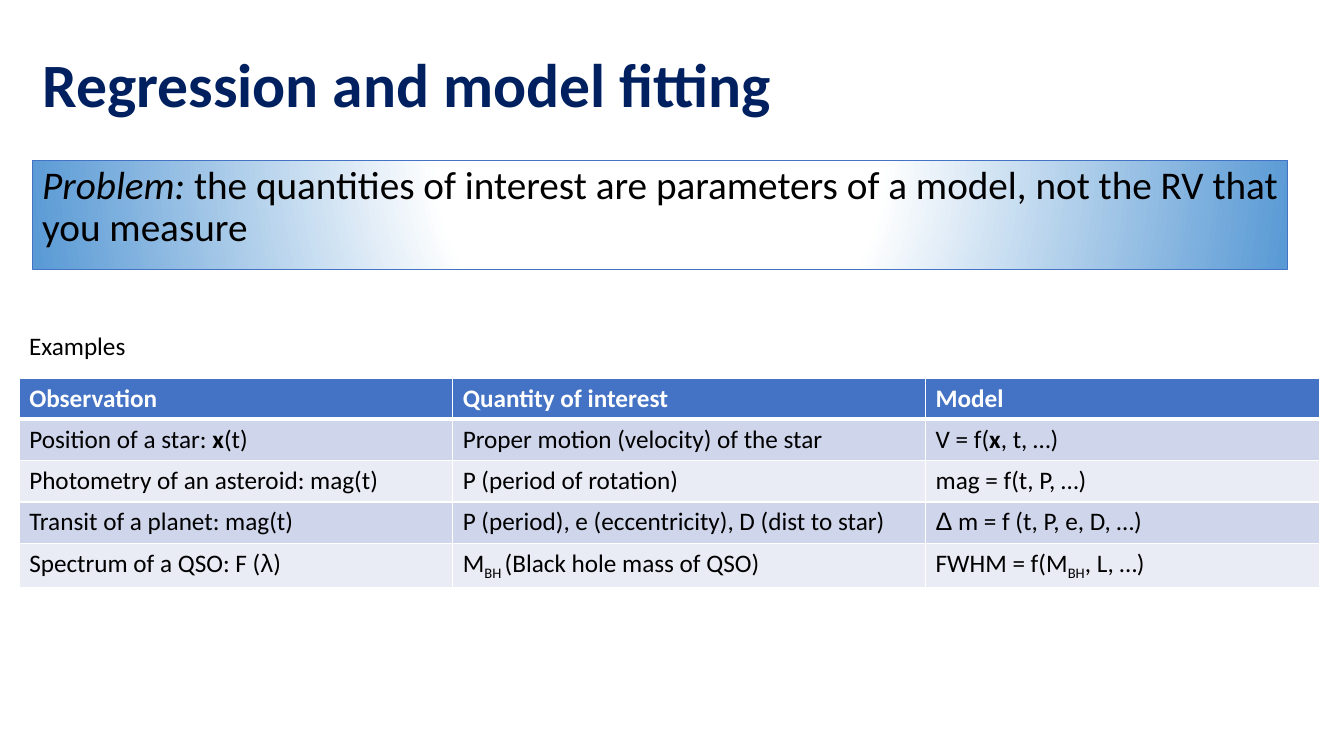
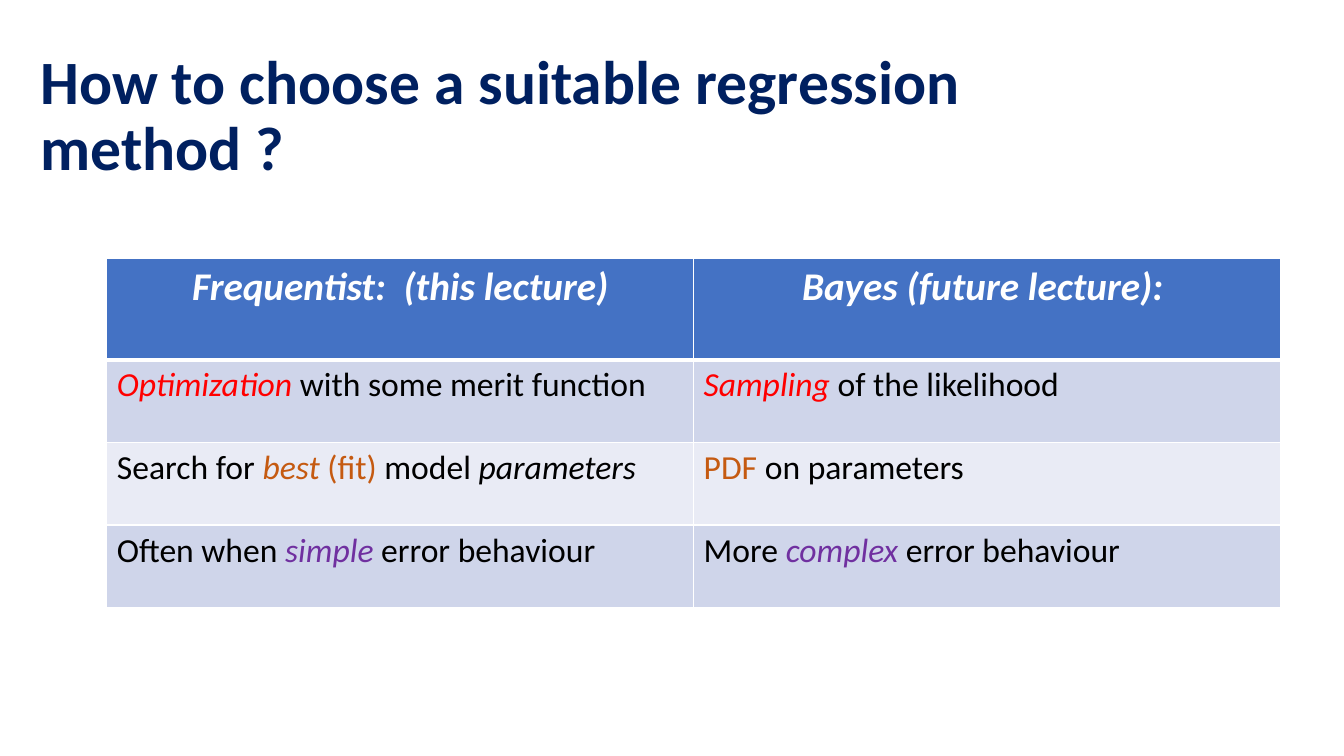
from lxml import etree
from pptx import Presentation
from pptx.dml.color import RGBColor
from pptx.enum import shapes, text
from pptx.oxml import parse_xml
from pptx.oxml.ns import qn, nsdecls
from pptx.util import Inches, Pt

# Shared style
FONT = "Calibri"
NAVY = RGBColor(0x00, 0x20, 0x60)
BLUE = RGBColor(0x44, 0x72, 0xC4)
SKY = RGBColor(0x5B, 0x9B, 0xD5)
BAND_DARK = RGBColor(0xCF, 0xD5, 0xEA)
BAND_LIGHT = RGBColor(0xE9, 0xEB, 0xF5)
WHITE = RGBColor(0xFF, 0xFF, 0xFF)
BLACK = RGBColor(0, 0, 0)
RED = {"color": RGBColor(0xFF, 0, 0), "italic": True}
ORANGE = {"color": RGBColor(0xC5, 0x5A, 0x11)}
PURPLE = {"color": RGBColor(0x70, 0x30, 0xA0), "italic": True}
BOLD = {"bold": True}
ITALIC = {"italic": True}
GREEK = {"name": "Arial"}
SUB = {"baseline": "-25000"}

TITLE_STYLE = {"size": Pt(44), "bold": True, "color": NAVY}

# Content: a text is a string or a list of strings and (string, format) pairs
PROBLEM = [("Problem:", ITALIC),
           " the quantities of interest are parameters of a model, "
           "not the RV that you measure"]

EXAMPLES = {
    "at": (0.19, 3.75),
    "columns": [4.3, 4.69, 3.91],
    "rows": [0.41, 0.41, 0.41, 0.41, 0.41],
    "header": {"size": Pt(18), "bold": True, "color": WHITE},
    "body": {"size": Pt(18), "color": BLACK},
    "header_align": text.PP_ALIGN.LEFT,
    "cells": [
        ["Observation", "Quantity of interest", "Model"],
        [["Position of a star: ", ("x", BOLD), "(t)"],
         "Proper motion (velocity) of the star",
         ["V = f(", ("x", BOLD), ", t, …)"]],
        ["Photometry of an asteroid: mag(t)", "P (period of rotation)",
         "mag = f(t, P, …)"],
        ["Transit of a planet: mag(t)",
         "P (period), e (eccentricity), D (dist to star)",
         [("Δ ", GREEK), "m = f (t, P, e, D, …)"]],
        [["Spectrum of a QSO: F (", ("λ", GREEK), ")"],
         ["M", ("BH ", SUB), "(Black hole mass of QSO)"],
         ["FWHM = f(M", ("BH", SUB), ", L, …)"]],
    ],
}

METHODS = {
    "at": (1.06, 2.56),
    "columns": [5.82, 5.82],
    "rows": [1.01, 0.82, 0.82, 0.82],
    "header": {"size": Pt(28), "bold": True, "italic": True, "color": WHITE},
    "body": {"size": Pt(24), "color": BLACK},
    "header_align": text.PP_ALIGN.CENTER,
    "cells": [
        ["Frequentist:  (this lecture)", "Bayes (future lecture): "],
        [[("Optimization", RED), " with some merit function"],
         [("Sampling", RED), " of the likelihood"]],
        [["Search for ", ("best", {**ORANGE, **ITALIC}), (" (fit) ", ORANGE),
          "model ", ("parameters", ITALIC)],
         [("PDF", ORANGE), " on parameters"]],
        [["Often when ", ("simple ", PURPLE), "error behaviour"],
         ["More ", ("complex", PURPLE), " error behaviour"]],
    ],
}


def write(para, content, style):
    """Fill a paragraph with runs, each with the style plus its own format."""
    for part in [content] if isinstance(content, str) else content:
        words, extra = (part, {}) if isinstance(part, str) else part
        span = para.add_run()
        span.text = words
        look = {"name": FONT, "bold": False, "italic": False, **style, **extra}
        for name, value in look.items():
            if name == "color":
                span.font.color.rgb = value
            elif name == "baseline":
                span._r.get_or_add_rPr().set(name, value)
            else:
                setattr(span.font, name, value)


def add_page(deck, title, left, top, width, right_inset=0.1):
    page = deck.slides.add_slide(deck.slide_layouts[5])
    box = page.shapes.title
    place = {"left": left, "top": top, "width": width, "height": 1.45}
    for name, value in place.items():
        setattr(box, name, Inches(value))
    frame = box.text_frame
    frame.auto_size = text.MSO_AUTO_SIZE.NONE
    frame.vertical_anchor = text.MSO_ANCHOR.MIDDLE
    frame.margin_right = Inches(right_inset)
    para = frame.paragraphs[0]
    para.alignment = text.PP_ALIGN.LEFT
    para.line_spacing = 0.9
    write(para, title, TITLE_STYLE)
    return page


def set_borders(cell, widths):
    """Draw white cell borders; widths are points for L, R, T and B."""
    props = cell._tc.get_or_add_tcPr()
    for index, (side, width) in enumerate(widths.items()):
        line = etree.Element(qn("a:ln" + side), w=str(Pt(width)))
        fill = etree.SubElement(line, qn("a:solidFill"))
        etree.SubElement(fill, qn("a:srgbClr"), val=str(WHITE))
        props.insert(index, line)


def add_grid(page, data):
    columns, rows = data["columns"], data["rows"]
    size = (sum(columns), sum(rows))
    grid = page.shapes.add_table(len(rows), len(columns),
                                 *map(Inches, data["at"] + size)).table
    for column, width in zip(grid.columns, columns):
        column.width = Inches(width)
    for r, (row, height) in enumerate(zip(grid.rows, rows)):
        row.height = Inches(height)
        header = r == 0
        fill = BLUE if header else (BAND_DARK if r % 2 else BAND_LIGHT)
        for cell, content in zip(row.cells, data["cells"][r]):
            cell.fill.solid()
            cell.fill.fore_color.rgb = fill
            set_borders(cell, {"L": 1, "R": 1, "T": 3 if r == 1 else 1,
                               "B": 3 if header else 1})
            para = cell.text_frame.paragraphs[0]
            if header:
                para.alignment = data["header_align"]
            write(para, content, data["header" if header else "body"])


def add_problem(page):
    box = page.shapes.add_shape(shapes.MSO_SHAPE.RECTANGLE, Inches(0.32),
                                Inches(1.59), Inches(12.45), Inches(1.08))
    box.shadow.inherit = False
    box.line.color.rgb = BLUE
    box.line.width = Pt(0.5)
    # Radial fill, white in the middle and blue at both ends
    stops = "".join(
        f'<a:gs pos="{position * 1000}"><a:srgbClr val="{color}"/></a:gs>'
        for position, color in [(0, WHITE), (35, WHITE), (100, SKY)])
    gradient = parse_xml(
        f'<a:gradFill {nsdecls("a")} rotWithShape="1"><a:gsLst>{stops}</a:gsLst>'
        '<a:path path="circle"><a:fillToRect l="50000" t="-80000" '
        'r="50000" b="180000"/></a:path></a:gradFill>')
    box._element.spPr.find(qn("a:prstGeom")).addnext(gradient)
    frame = box.text_frame
    frame.word_wrap = True
    frame.vertical_anchor = text.MSO_ANCHOR.TOP
    para = frame.paragraphs[0]
    para.alignment = text.PP_ALIGN.LEFT
    para.line_spacing = 0.9
    para.space_before = Pt(10)
    write(para, PROBLEM, {"size": Pt(28), "color": BLACK})


def add_label(page, words):
    box = page.shapes.add_textbox(Inches(0.19), Inches(3.23),
                                  Inches(1.17), Inches(0.4))
    box.text_frame.word_wrap = False
    write(box.text_frame.paragraphs[0], words, EXAMPLES["body"])


def main():
    deck = Presentation()
    deck.slide_width, deck.slide_height = Inches(13.33), Inches(7.5)

    # Slide 1: the problem and its examples
    page = add_page(deck, "Regression and model fitting", 0.32, 0.14, 7.79)
    add_problem(page)
    add_grid(page, EXAMPLES)
    add_label(page, "Examples")

    # Slide 2: the two families of methods
    page = add_page(deck, "How to choose a suitable regression method ?",
                    0.3, 0.44, 11.63, right_inset=1)
    add_grid(page, METHODS)

    deck.save("out.pptx")


if __name__ == "__main__":
    main()
